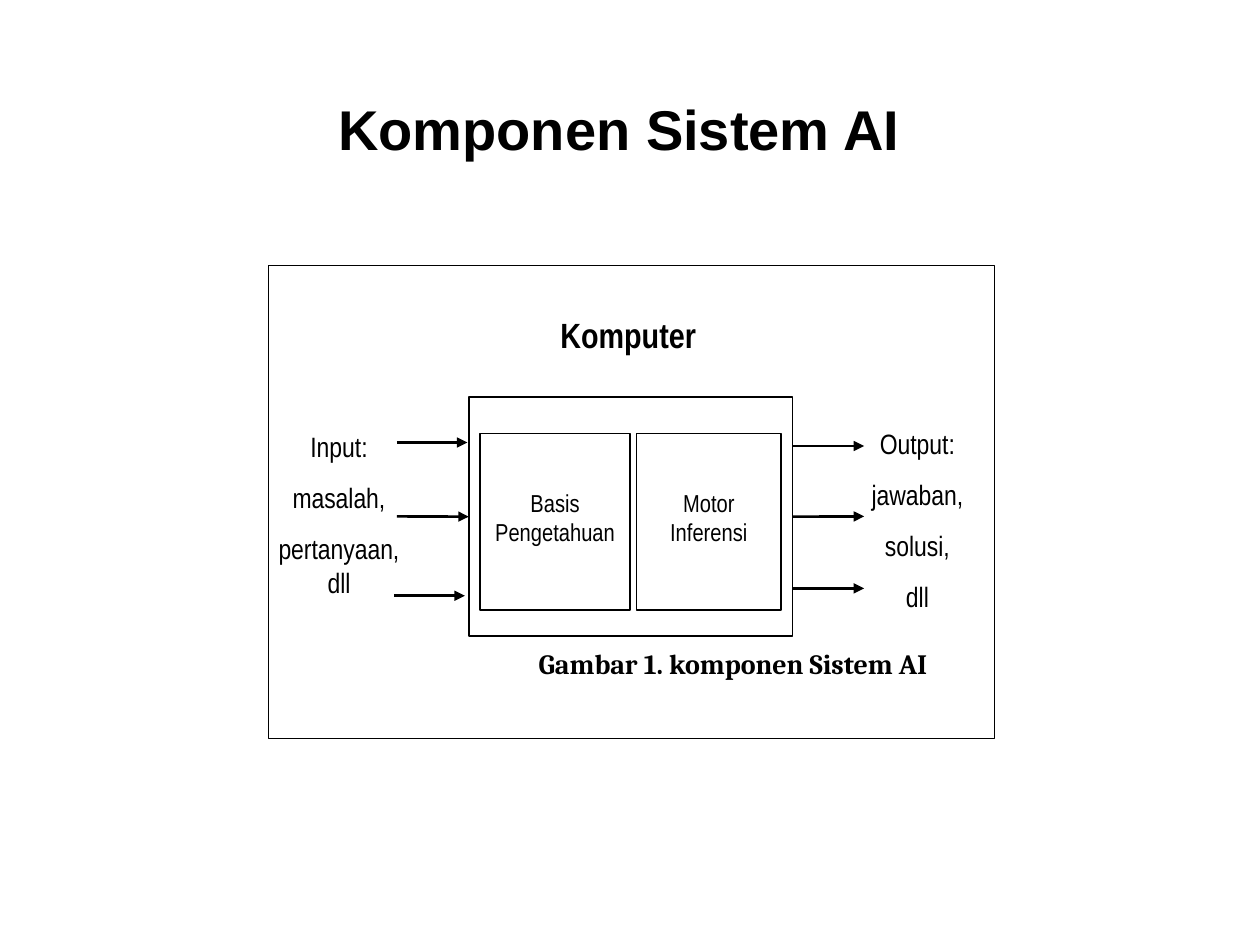
import pptx
import pptx.util
import pptx.dml.color
import pptx.enum.shapes
import pptx.enum.text
import pptx.oxml
import pptx.oxml.ns

Cm = pptx.util.Cm
Pt = pptx.util.Pt


def color(value):
    return pptx.dml.color.RGBColor.from_string(value)


class Diagram:
    ink = "000000"
    font = "Arial Narrow"

    def __init__(self, slide):
        self.slide = slide

    def label(self, sp, lines, size, font=None, bold=False, after=10, top=0.13,
              anchor=pptx.enum.text.MSO_ANCHOR.TOP, wrap=True):
        tf = sp.text_frame
        tf.word_wrap = wrap
        tf.vertical_anchor = anchor
        tf.margin_left = tf.margin_right = Cm(0.25)
        tf.margin_top = Cm(top)
        tf.margin_bottom = Cm(0.13)
        tf.text = "\n".join(lines)
        for p in tf.paragraphs:
            p.alignment = pptx.enum.text.PP_ALIGN.CENTER
            p.space_after = Pt(after)
            p.font.name = font or self.font
            p.font.size = Pt(size)
            p.font.bold = bold
            p.font.color.rgb = color(self.ink)

    def box(self, x, y, w, h, weight=1):
        sp = self.slide.shapes.add_shape(
            pptx.enum.shapes.MSO_SHAPE.RECTANGLE, Cm(x), Cm(y), Cm(w), Cm(h))
        sp.shadow.inherit = False
        sp.fill.background()
        sp.line.color.rgb = color(self.ink)
        sp.line.width = Pt(weight)
        return sp

    def text(self, x, y, w, h, lines, size, **style):
        sp = self.slide.shapes.add_textbox(Cm(x), Cm(y), Cm(w), Cm(h))
        self.label(sp, lines, size, **style)
        return sp

    def arrow(self, x1, x2, y):
        cx = self.slide.shapes.add_connector(
            pptx.enum.shapes.MSO_CONNECTOR.STRAIGHT, Cm(x1), Cm(y), Cm(x2), Cm(y))
        cx.line.color.rgb = color(self.ink)
        cx.line.width = Pt(1.5)
        ln = cx.line._get_or_add_ln()
        tail = pptx.oxml.parse_xml(
            '<a:tailEnd %s type="triangle"/>' % pptx.oxml.ns.nsdecls("a"))
        ln.append(tail)
        effects = pptx.oxml.parse_xml("<a:effectLst %s/>" % pptx.oxml.ns.nsdecls("a"))
        ln.addnext(effects)
        return cx


def main():
    prs = pptx.Presentation()
    prs.slide_width, prs.slide_height = Cm(25.4), Cm(19.05)
    s = prs.slides.add_slide(prs.slide_layouts[6])
    d = Diagram(s)
    middle = pptx.enum.text.MSO_ANCHOR.MIDDLE

    d.box(5.41, 5.36, 14.63, 9.53, weight=0.5)
    computer = d.box(9.45, 8, 6.53, 4.83)
    for x, w, name in [(9.68, 3.02, "Basis Pengetahuan"), (12.83, 2.92, "Motor Inferensi")]:
        d.label(d.box(x, 8.74, w, 3.56), [name], 14, top=1.09)

    d.text(5.36, 8.53, 2.95, 4.57, ["Input:", "masalah,", "pertanyaan, dll"], 16)
    d.text(16.74, 7.42, 3.51, 5.66, ["Output:", "jawaban,", "solusi,", "dll"], 16, top=1.18)
    d.text(10.39, 6.2, 4.55, 2.64, ["Komputer"], 20, bold=True)

    inputs = [d.arrow(x, x + 1.42, y) for x, y in [(8, 8.92), (8, 10.41), (7.95, 12.01)]]
    outputs = [d.arrow(15.98, 17.42, y) for y in (8.99, 10.41, 11.86)]
    inputs[1].end_connect(computer, 1)
    outputs[1].begin_connect(computer, 3)

    d.text(10.03, 12.9, 9.5, 0.94, ["Gambar 1. komponen Sistem AI"], 16,
           font="Cambria", bold=True, after=0, anchor=middle, wrap=False)
    d.text(2.97, 0.99, 19.02, 3.18, ["Komponen Sistem AI"], 32,
           font="Arial", bold=True, after=0, anchor=middle)

    prs.save("out.pptx")


if __name__ == "__main__":
    main()
